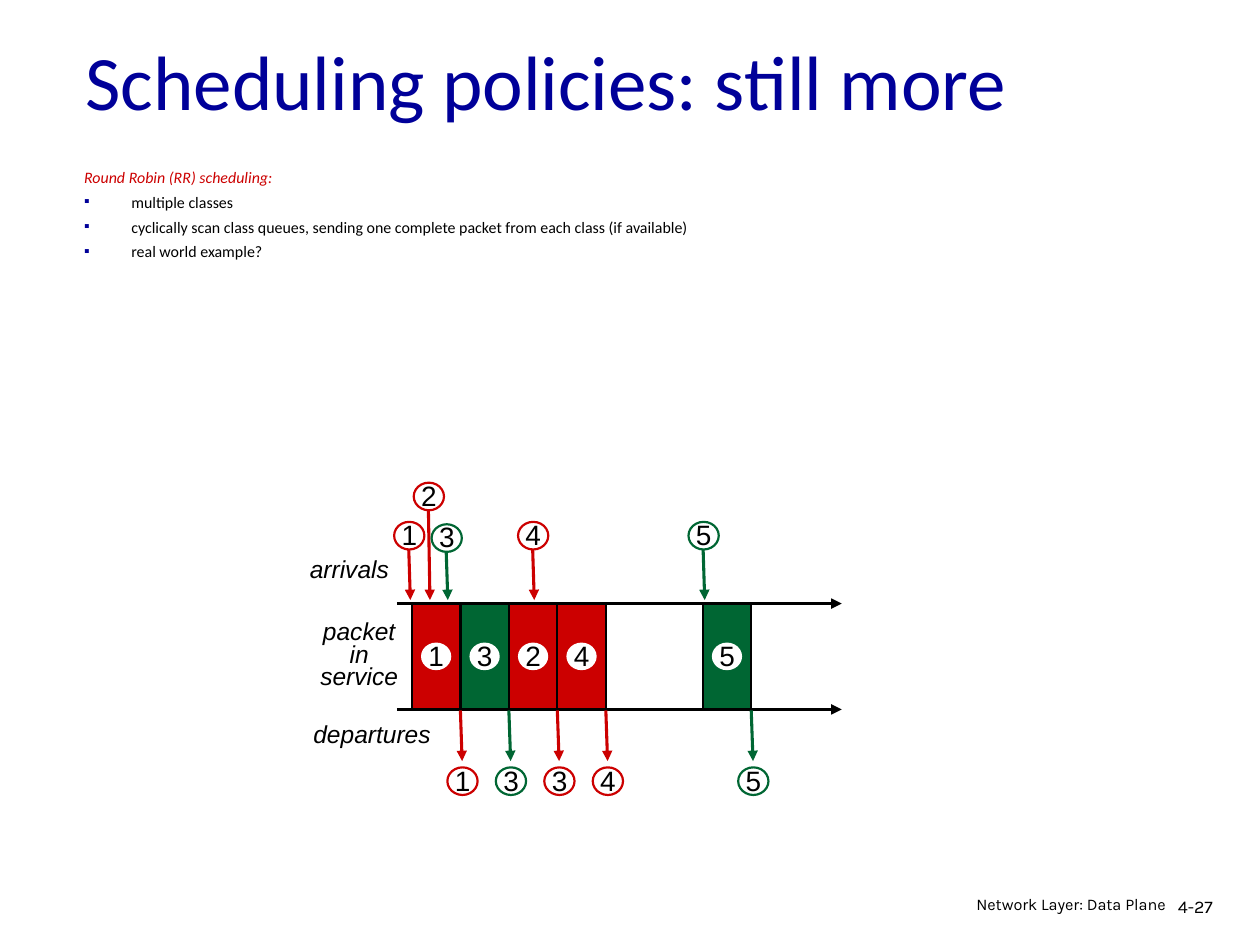
"""Build the round robin scheduling slide."""
from lxml.etree import SubElement
from pptx import Presentation
from pptx.dml.color import RGBColor
from pptx.enum.shapes import MSO_CONNECTOR, MSO_SHAPE
from pptx.enum.text import MSO_ANCHOR, PP_ALIGN
from pptx.oxml.ns import qn
from pptx.util import Pt

RED, GREEN, BLACK, WHITE, NAVY = "CC0000", "006633", "000000", "FFFFFF", "000099"

TITLE = "Scheduling policies: still more"
HEADING = "Round Robin (RR) scheduling:"
BULLETS = [
    "multiple classes",
    "cyclically scan class queues, sending one complete packet from each class (if available)",
    "real world example?",
]
# number, colour, arrow x, arrow top
ARRIVALS = [
    ("2", RED, 244.8, 291.6),
    ("1", RED, 233.6, 314),
    ("3", GREEN, 255, 315.4),
    ("4", RED, 304.4, 314),
    ("5", GREEN, 401.8, 314),
]
# slot, number in service, number departing, colour
SERVICE = [
    (0, "1", "1", RED),
    (1, "3", "3", GREEN),
    (2, "2", "3", RED),
    (3, "4", "4", RED),
    (6, "5", "5", GREEN),
]
# text, box, wrap, format, paragraph format
LABELS = [
    ("arrivals", (170, 313.2, 59.8, 24.4), False, {}, {}),
    ("departures", (172, 407.5, 81.4, 24.4), False, {}, {}),
    ("packet in service", (171.4, 352.8, 67.7, 45.4), True, {},
     {"alignment": PP_ALIGN.CENTER, "line_spacing": Pt(12.7)}),
    ("4-27", (666, 509.8, 43.9, 21.6), True,
     {"name": "Karla", "size": Pt(10.2), "italic": False}, {"line_spacing": 0.9}),
    ("Network Layer: Data Plane", (501.8, 509.8, 171.4, 18.7), True,
     {"name": "Karla", "size": Pt(9.3), "italic": False},
     {"alignment": PP_ALIGN.RIGHT, "line_spacing": 0.8}),
]
LABEL_FONT = {"name": "Arial", "size": Pt(14), "italic": True}

AXIS_LEFT, AXIS_RIGHT = 226.8, 481
AXIS_TOP, AXIS_BOTTOM = 344.9, 405.4
SLOT_LEFT, SLOT_W = 235.4, 27.7
DISC_W, DISC_H = 17.3, 15.8
DIGIT_W, DIGIT_H = 23, 26.6

prs = Presentation()
prs.slide_width, prs.slide_height = Pt(720), Pt(540)
s = prs.slides.add_slide(prs.slide_layouts[6])


def rgb(color):
    return RGBColor.from_string(color)


def set_all(obj, values):
    for name, value in values.items():
        setattr(obj, name, value)


def write(p, text, color, font):
    r = p.add_run()
    r.text = text
    set_all(r.font, font)
    r.font.color.rgb = rgb(color)


def add_box(box, wrap=True):
    tf = s.shapes.add_textbox(*map(Pt, box)).text_frame
    tf.word_wrap = wrap
    return tf


def add_arrow(x1, y1, x2, y2, color, width):
    c = s.shapes.add_connector(MSO_CONNECTOR.STRAIGHT, *map(Pt, (x1, y1, x2, y2)))
    c.line.color.rgb = rgb(color)
    c.line.width = Pt(width)
    SubElement(c.line._get_or_add_ln(), qn("a:tailEnd"), type="triangle")
    SubElement(c._element.spPr, qn("a:effectLst"))


def add_shape(kind, box, fill, line=None):
    sp = s.shapes.add_shape(kind, *map(Pt, box))
    sp.shadow.inherit = False
    sp.fill.solid()
    sp.fill.fore_color.rgb = rgb(fill)
    if line:
        sp.line.color.rgb = rgb(line)
        sp.line.width = Pt(1.25)
    else:
        sp.line.fill.background()


def add_packet(number, cx, top, line=None):
    add_shape(MSO_SHAPE.OVAL, (cx - DISC_W / 2, top, DISC_W, DISC_H), WHITE, line)
    y = top + DISC_H / 2 - DIGIT_H / 2 - 0.6
    p = add_box((cx - DIGIT_W / 2, y, DIGIT_W, DIGIT_H), False).paragraphs[0]
    p.alignment = PP_ALIGN.CENTER
    write(p, number, BLACK, {"name": "Arial", "size": Pt(16)})


def add_bullet(p):
    pPr = p._p.get_or_add_pPr()
    SubElement(SubElement(pPr, qn("a:buClr")), qn("a:srgbClr"), val=NAVY)
    SubElement(pPr, qn("a:buFont"), typeface="Arial")
    SubElement(pPr, qn("a:buChar"), char="▪")
    set_all_indent = {"marL": str(Pt(27)), "indent": str(Pt(-27))}
    for name, value in set_all_indent.items():
        pPr.set(name, value)


tf = add_box((41.8, 0.7, 612, 90))
tf.vertical_anchor = MSO_ANCHOR.MIDDLE
write(tf.paragraphs[0], TITLE, NAVY, {"name": "Calibri", "size": Pt(44)})

tf = add_box((41, 95.8, 612, 59.8))
body_font = {"name": "Calibri", "size": Pt(9.1)}
p = tf.paragraphs[0]
p.line_spacing = 0.65
write(p, HEADING, RED, {**body_font, "italic": True})
for text in BULLETS:
    p = tf.add_paragraph()
    set_all(p, {"line_spacing": 0.65, "space_before": Pt(7)})
    add_bullet(p)
    write(p, text, BLACK, body_font)

for y in (AXIS_TOP, AXIS_BOTTOM):
    add_arrow(AXIS_LEFT, y, AXIS_RIGHT, y, BLACK, 2)

for slot, served, departed, color in SERVICE:
    x = SLOT_LEFT + slot * SLOT_W
    end = x + SLOT_W
    add_shape(MSO_SHAPE.RECTANGLE, (x, AXIS_TOP, SLOT_W, AXIS_BOTTOM - AXIS_TOP), color, BLACK)
    add_packet(served, x + SLOT_W / 2, 367.2)
    add_arrow(end, 406, end + 1, 434.9, color, 1.75)
    add_packet(departed, end + 1.2, 438.5, color)

for number, color, x, top in ARRIVALS:
    add_arrow(x, top, x + 0.9, 342.9, color, 1.75)
    add_packet(number, x + 0.3, top - DISC_H, color)

for text, box, wrap, font, layout in LABELS:
    p = add_box(box, wrap).paragraphs[0]
    set_all(p, layout)
    write(p, text, BLACK, {**LABEL_FONT, **font})

prs.save("out.pptx")
